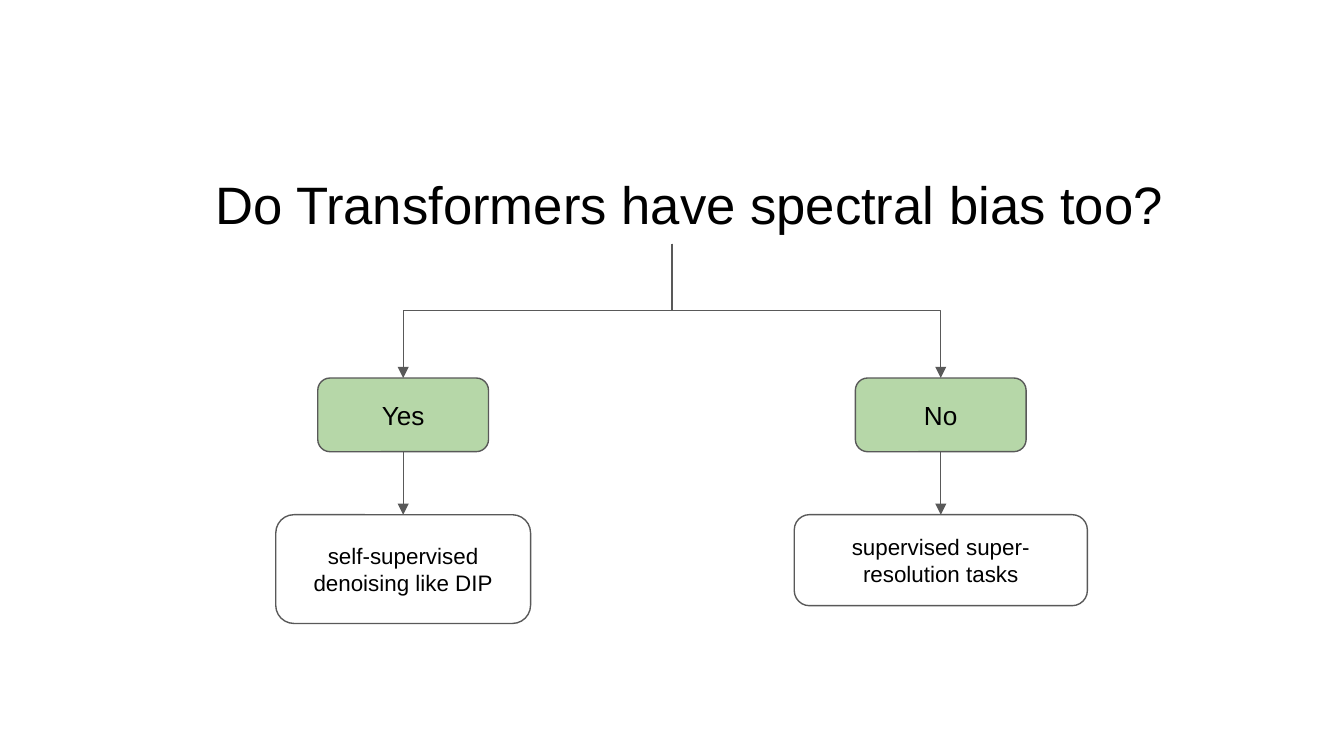
import pptx
import pptx.dml.color
import pptx.enum.shapes
import pptx.enum.text
import pptx.oxml
import pptx.oxml.ns
import pptx.util

Pt = pptx.util.Pt
RGBColor = pptx.dml.color.RGBColor
BLACK = RGBColor(0x00, 0x00, 0x00)
WHITE = RGBColor(0xFF, 0xFF, 0xFF)
GREEN = RGBColor(0xB6, 0xD7, 0xA8)
GREY = RGBColor(0x59, 0x59, 0x59)
FONT = "Arial"
INSET = 7.2
LINE_WIDTH = 0.75


def write_text(shape, text, size, align, anchor):
    """Put one formatted run into the shape."""
    frame = shape.text_frame
    frame.word_wrap = True
    frame.auto_size = pptx.enum.text.MSO_AUTO_SIZE.NONE
    frame.vertical_anchor = anchor
    frame.margin_left = frame.margin_right = Pt(INSET)
    frame.margin_top = frame.margin_bottom = Pt(INSET)
    para = frame.paragraphs[0]
    para.alignment = align
    span = para.add_run()
    span.text = text
    span.font.name = FONT
    span.font.size = Pt(size)
    span.font.color.rgb = BLACK
    return para


def add_title(page, text, left, top, width, height):
    """Fill the title placeholder with an indented question."""
    title = page.shapes.title
    title.left, title.top = Pt(left), Pt(top)
    title.width, title.height = Pt(width), Pt(height)
    para = write_text(title, text, 28.2, pptx.enum.text.PP_ALIGN.LEFT,
                      pptx.enum.text.MSO_ANCHOR.TOP)
    properties = para._p.get_or_add_pPr()
    properties.set("marL", str(Pt(72)))
    properties.set("indent", str(Pt(36)))


def add_node(page, text, size, fill, center, top, width, height):
    """Draw a rounded box centred on a vertical axis."""
    node = page.shapes.add_shape(
        pptx.enum.shapes.MSO_SHAPE.ROUNDED_RECTANGLE,
        Pt(center - width / 2), Pt(top), Pt(width), Pt(height))
    node.shadow.inherit = False
    node.fill.solid()
    node.fill.fore_color.rgb = fill
    node.line.color.rgb = GREY
    node.line.width = Pt(LINE_WIDTH)
    write_text(node, text, size, pptx.enum.text.PP_ALIGN.CENTER,
               pptx.enum.text.MSO_ANCHOR.MIDDLE)


def add_arrow(page, start_x, start_y, end_x, end_y):
    """Draw an elbow arrow that leaves and arrives vertically."""
    middle_x, middle_y = (start_x + end_x) / 2, (start_y + end_y) / 2
    half_drop, half_shift = (end_y - start_y) / 2, abs(end_x - start_x) / 2
    turn, side = (270, -1) if end_x > start_x else (90, 1)
    arrow = page.shapes.add_connector(
        pptx.enum.shapes.MSO_CONNECTOR.ELBOW,
        Pt(middle_x - side * half_drop), Pt(middle_y - half_shift),
        Pt(middle_x + side * half_drop), Pt(middle_y + half_shift))
    arrow.line.color.rgb = GREY
    arrow.line.width = Pt(LINE_WIDTH)
    properties = arrow._element.spPr
    properties.xfrm.set("rot", str(turn * 60000))
    head = pptx.oxml.parse_xml(
        f'<a:tailEnd {pptx.oxml.ns.nsdecls("a")} type="triangle"/>')
    arrow.line._get_or_add_ln().append(head)
    properties.append(pptx.oxml.parse_xml(
        f'<a:effectLst {pptx.oxml.ns.nsdecls("a")}/>'))


def add_branch(page, root, center, top, answer, outcome, width, height):
    """Draw an answer below the root and its outcome below the answer."""
    answer_height, gap = 39.5, 33.75
    answer_bottom = top + answer_height
    outcome_top = answer_bottom + gap
    add_node(page, answer, 14, GREEN, center, top, 91.5, answer_height)
    add_arrow(page, *root, center, top)
    add_node(page, outcome, 12, WHITE, center, outcome_top, width, height)
    add_arrow(page, center, answer_bottom, center, outcome_top)


def main():
    """Build the decision tree slide."""
    deck = pptx.Presentation()
    deck.slide_width, deck.slide_height = Pt(720), Pt(405)
    page = deck.slides.add_slide(deck.slide_layouts[5])
    page.background.fill.solid()
    page.background.fill.fore_color.rgb = WHITE
    add_title(page, "Do Transformers have spectral bias too?", 0, 85, 720, 45.5)
    root = (360, 130.5)
    branches = [
        (216, "Yes", "self-supervised denoising like DIP", 136.5, 58.25),
        (504, "No", "supervised super-resolution tasks", 157, 48.75),
    ]
    for center, answer, outcome, width, height in branches:
        add_branch(page, root, center, 202.5, answer, outcome, width, height)
    deck.save("out.pptx")


if __name__ == "__main__":
    main()
